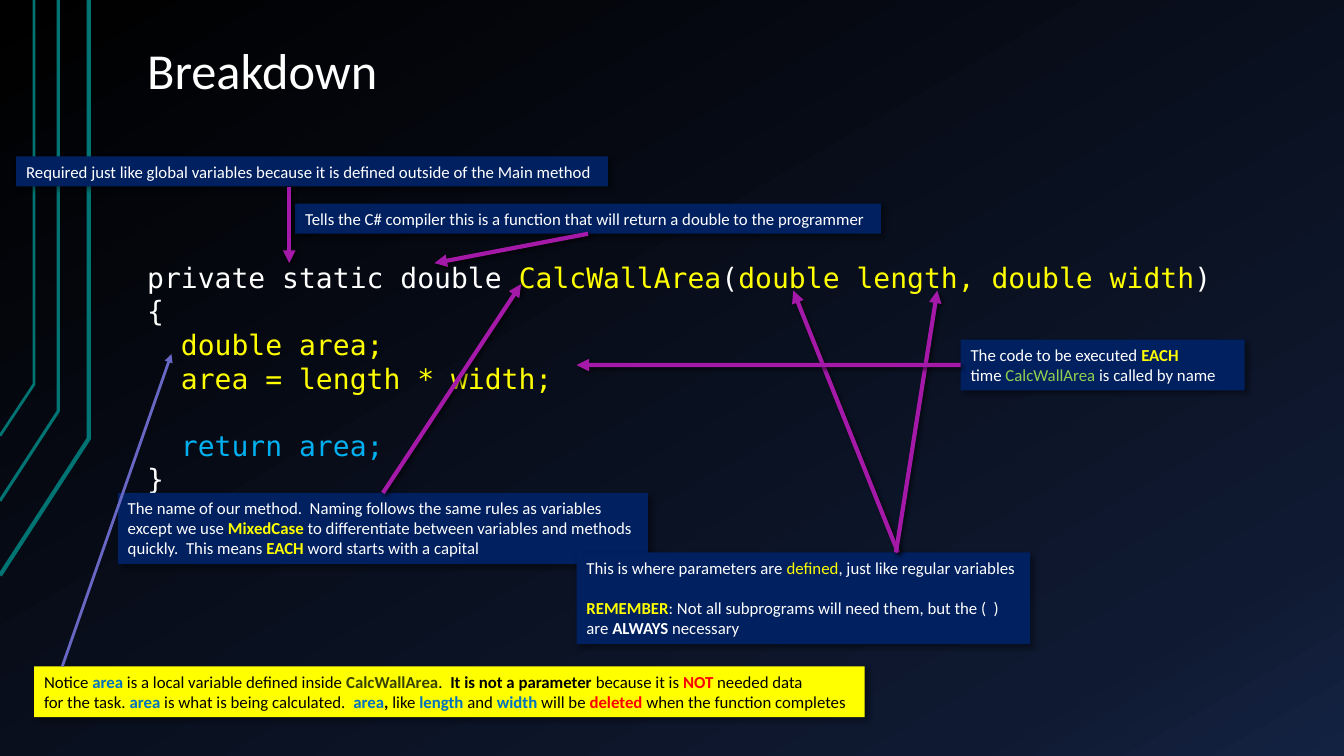
"""Build the Breakdown slide: a method listing with callouts and arrows."""
from pptx import Presentation
from pptx.dml.color import RGBColor
from pptx.enum.shapes import MSO_CONNECTOR, MSO_SHAPE
from pptx.enum.text import MSO_ANCHOR, PP_ALIGN
from pptx.oxml import parse_xml
from pptx.oxml.ns import nsdecls
from pptx.util import Cm, Pt

WHITE = RGBColor(255, 255, 255)
BLACK = RGBColor(0, 0, 0)
YELLOW = RGBColor(255, 255, 0)
RED = RGBColor(255, 0, 0)
NAVY = RGBColor(0, 32, 96)
BLUE = RGBColor(0, 112, 192)
SKY = RGBColor(0, 176, 240)
GREEN = RGBColor(146, 208, 80)
OLIVE = RGBColor(57, 68, 4)
TEAL = RGBColor(0, 115, 115)
PURPLE = RGBColor(164, 25, 167)
VIOLET = RGBColor(104, 104, 196)
SANS, MONO = "Calibri", "DejaVu Sans Mono"

STOPS = [(0, "000000"), (85, "0F1931"), (100, "142242")]
RAILS = [
    (3, [(0, 14.5), (2.24, 11.05), (2.24, 0)]),
    (2.25, [(0, 12.62), (1.47, 10.36), (1.47, 0)]),
    (2, [(0, 10.98), (0.86, 9.68), (0.86, 0)]),
]
TITLE = [[("Breakdown",)]]
CODE = [
    [("private static double ",), ("CalcWallArea", YELLOW), ("(",),
     ("double length, double width", YELLOW), (")",)],
    [("{",)],
    [("  double area;", YELLOW)],
    [("  area = length * width;", YELLOW)],
    [("  return area;", SKY)],
    [("}",)],
]
NOTES = {
    "scope": ((0.41, 3.94, 14.91, 0.76), NAVY, WHITE, [
        [("Required just like global variables because it is defined outside of the Main method",)]]),
    "type": ((7.44, 5.13, 14.76, 0.76), NAVY, WHITE, [
        [("Tells the C# compiler this is a function that will return a double to the programmer",)]]),
    "name": ((2.97, 12.42, 13.36, 1.8), NAVY, WHITE, [
        [("The name of our method.  Naming follows the same rules as variables",)],
        [("except we use ",), ("MixedCase", YELLOW, True),
         (" to differentiate between variables and methods",)],
        [("quickly.  This means ",), ("EACH", YELLOW, True), (" word starts with a capital",)]]),
    "body": ((24.21, 8.56, 7.16, 1.28), NAVY, WHITE, [
        [("The code to be executed ",), ("EACH", YELLOW, True)],
        [("time ",), ("CalcWallArea", GREEN), (" is called by name",)]]),
    "params": ((14.53, 13.92, 11.43, 2.31), NAVY, WHITE, [
        [("This is where parameters are ",), ("defined", YELLOW), (", just like regular variables",)],
        [("REMEMBER", YELLOW, True), (": Not all subprograms will need them, but the (  )",)],
        [("are ",), ("ALWAYS", WHITE, True), (" necessary",)]]),
    "local": ((0.86, 16.79, 20.93, 1.28), YELLOW, BLACK, [
        [("Notice ",), ("area", BLUE, True), (" is a local variable defined inside ",),
         ("CalcWallArea", OLIVE, True), (".  ",), ("It is not a parameter", BLACK, True),
         (" because it is ",), ("NOT", RED, True), (" needed data",)],
        [("for the task. ",), ("area", BLUE, True), (" is what is being calculated.  ",),
         ("area", BLUE, True), (",", BLACK, True), (" like ",), ("length", BLUE, True),
         (" and ",), ("width", BLUE, True), (" will be ",), ("deleted", RED, True),
         (" when the function completes",)]]),
}
GAPS = {"params": (1, 14.5)}
ARROWS = [
    ((7.29, 4.7), (7.29, 6.63), PURPLE, 3, None),
    ((14.82, 5.89), (10.95, 6.63), PURPLE, 3, ("type", 2)),
    ((9.65, 12.42), (13.13, 7.16), PURPLE, 3, ("name", 0)),
    ((22.63, 13.92), (19.99, 7.32), PURPLE, 3, None),
    ((22.58, 13.92), (23.62, 7.32), PURPLE, 3, None),
    ((24.21, 9.2), (14.53, 9.2), PURPLE, 3, ("body", 1)),
    ((1.57, 16.79), (4.32, 8.92), VIOLET, 2, None),
]


def shade(shape, blur=0, dist=0, alpha=0):
    """Give a shape a soft shadow, or none when blur is zero."""
    inner = ""
    if blur:
        inner = (f'<a:outerShdw blurRad="{Pt(blur)}" dist="{Pt(dist)}" dir="2700000" algn="tl" '
                 f'rotWithShape="0"><a:srgbClr val="000000"><a:alpha val="{alpha * 1000}"/>'
                 '</a:srgbClr></a:outerShdw>')
    props = shape._element.spPr
    props.append(parse_xml(f'<a:effectLst {nsdecls("a")}>{inner}</a:effectLst>'))


def write(frame, lines, font, size, color, space=None, gap=None):
    """Fill a text frame with lines of (text, colour, bold) runs."""
    frame.word_wrap = True
    for i, line in enumerate(lines):
        para = frame.paragraphs[0] if i == 0 else frame.add_paragraph()
        para.alignment = PP_ALIGN.LEFT
        if space:
            para.line_spacing = space
        if gap and gap[0] == i:
            para.space_before = Pt(gap[1])
        for text, *style in line:
            run = para.add_run()
            run.text = text
            run.font.name, run.font.size = font, Pt(size)
            run.font.color.rgb = style[0] if style else color
            run.font.bold = len(style) > 1


def add_text(slide, box, anchor):
    """Add an empty text box with wide margins."""
    frame = slide.shapes.add_textbox(*map(Cm, box)).text_frame
    frame.margin_left = frame.margin_right = Cm(0.33)
    frame.margin_top = frame.margin_bottom = Cm(0.18)
    frame.vertical_anchor = anchor
    return frame


def add_rail(slide, width, points):
    """Draw one bent line at the left edge."""
    pts = [(Cm(x), Cm(y)) for x, y in points]
    form = slide.shapes.build_freeform(*pts[0])
    form.add_line_segments(pts[1:], close=False)
    rail = form.convert_to_shape()
    rail.fill.background()
    rail.line.color.rgb, rail.line.width = TEAL, Pt(width)
    rail.shadow.inherit = False


def add_note(slide, key):
    """Draw one callout."""
    box, fill, color, lines = NOTES[key]
    note = slide.shapes.add_shape(MSO_SHAPE.RECTANGLE, *map(Cm, box))
    note.fill.solid()
    note.fill.fore_color.rgb = fill
    note.line.fill.background()
    shade(note, 4, 3, 40)
    note.text_frame.vertical_anchor = MSO_ANCHOR.TOP
    write(note.text_frame, lines, SANS, 12, color, gap=GAPS.get(key))
    return note


def add_arrow(slide, notes, start, end, color, width, joint):
    """Draw one arrow, joined to a callout where it meets a side's middle."""
    arrow = slide.shapes.add_connector(MSO_CONNECTOR.STRAIGHT, *map(Cm, start + end))
    if joint:
        arrow.begin_connect(notes[joint[0]], joint[1])
    arrow.line.color.rgb, arrow.line.width = color, Pt(width)
    arrow.line._get_or_add_ln().append(parse_xml(f'<a:tailEnd {nsdecls("a")} type="triangle"/>'))
    if color == PURPLE:
        shade(arrow, 3, 2, 60)
    else:
        shade(arrow)


def main():
    """Assemble and save the slide."""
    deck = Presentation()
    deck.slide_width, deck.slide_height = Cm(33.87), Cm(19.05)
    slide = deck.slides.add_slide(deck.slide_layouts[6])
    stops = "".join(f'<a:gs pos="{p * 1000}"><a:srgbClr val="{c}"/></a:gs>' for p, c in STOPS)
    slide.element.cSld.insert(0, parse_xml(
        f'<p:bg {nsdecls("p", "a")}><p:bgPr><a:gradFill rotWithShape="1"><a:gsLst>{stops}</a:gsLst>'
        '<a:lin ang="3600000" scaled="0"/></a:gradFill><a:effectLst/></p:bgPr></p:bg>'))
    for width, points in RAILS:
        add_rail(slide, width, points)
    code = add_text(slide, (3.38, 6.38, 28.78, 6), MSO_ANCHOR.TOP)
    write(code, CODE, MONO, 20, WHITE, Pt(24), (4, 24))
    title = add_text(slide, (3.38, 0.76, 28.78, 1.96), MSO_ANCHOR.BOTTOM)
    write(title, TITLE, SANS, 36, WHITE, 0.9)
    notes = {key: add_note(slide, key) for key in NOTES}
    for arrow in ARROWS:
        add_arrow(slide, notes, *arrow)
    deck.save("out.pptx")


if __name__ == "__main__":
    main()
